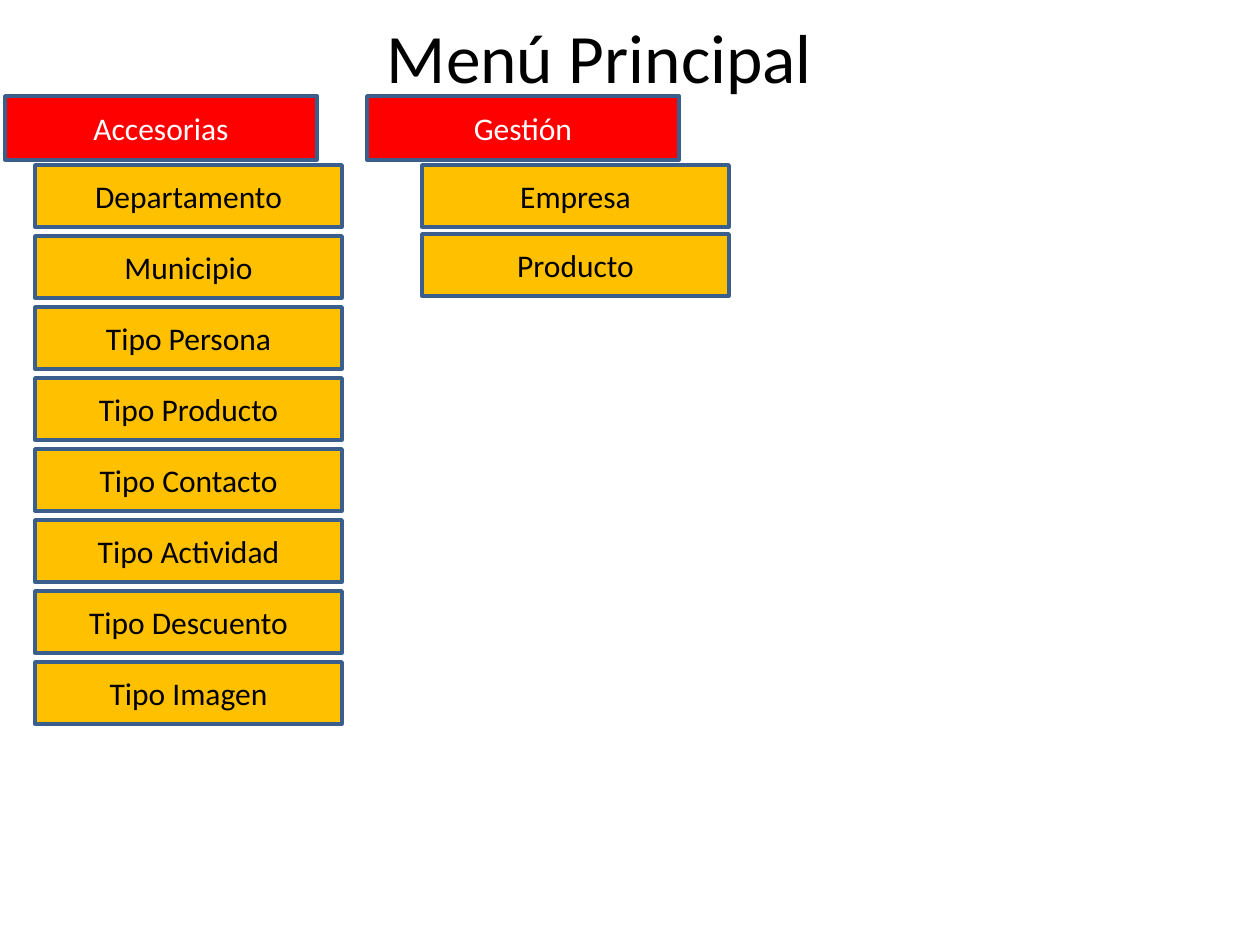
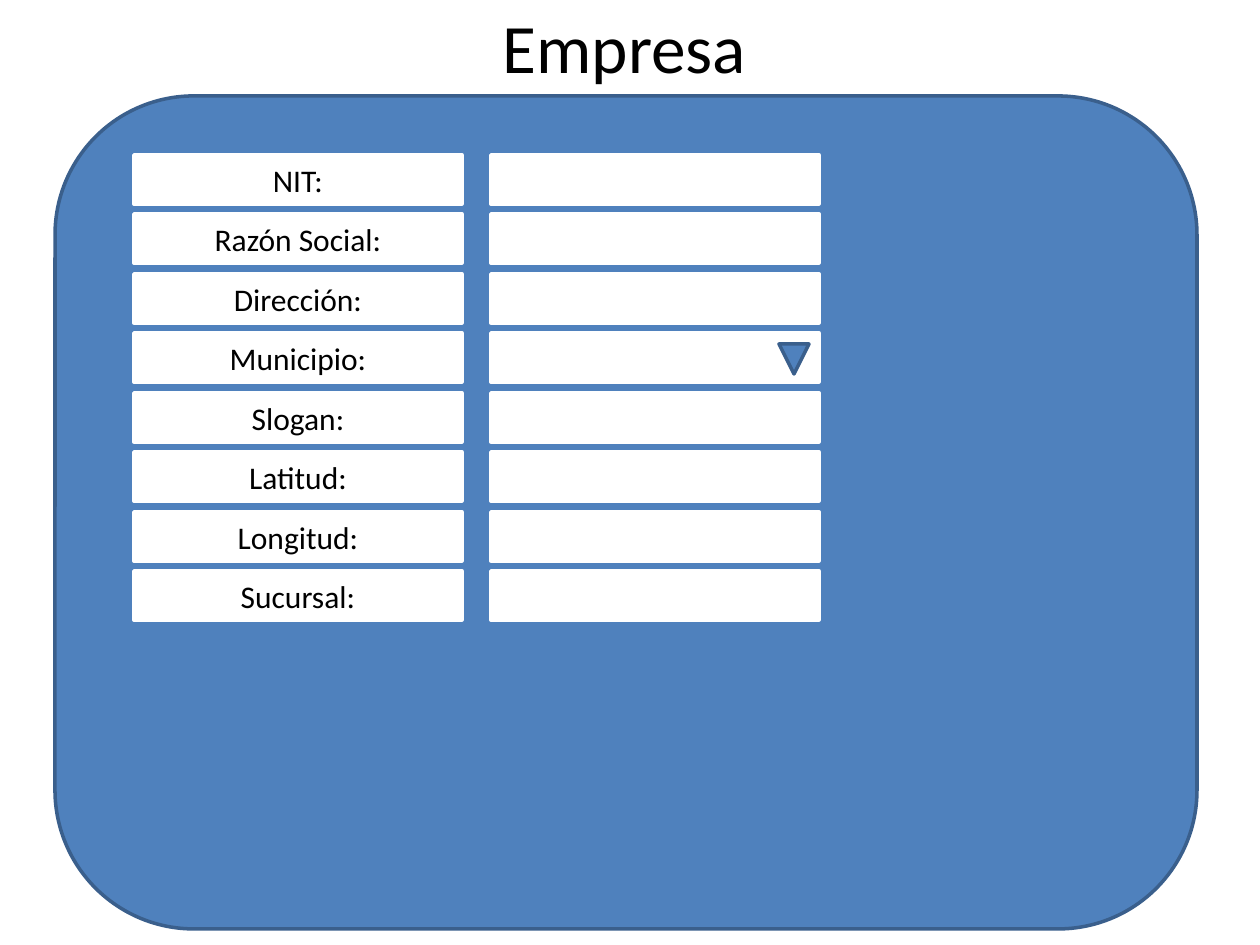
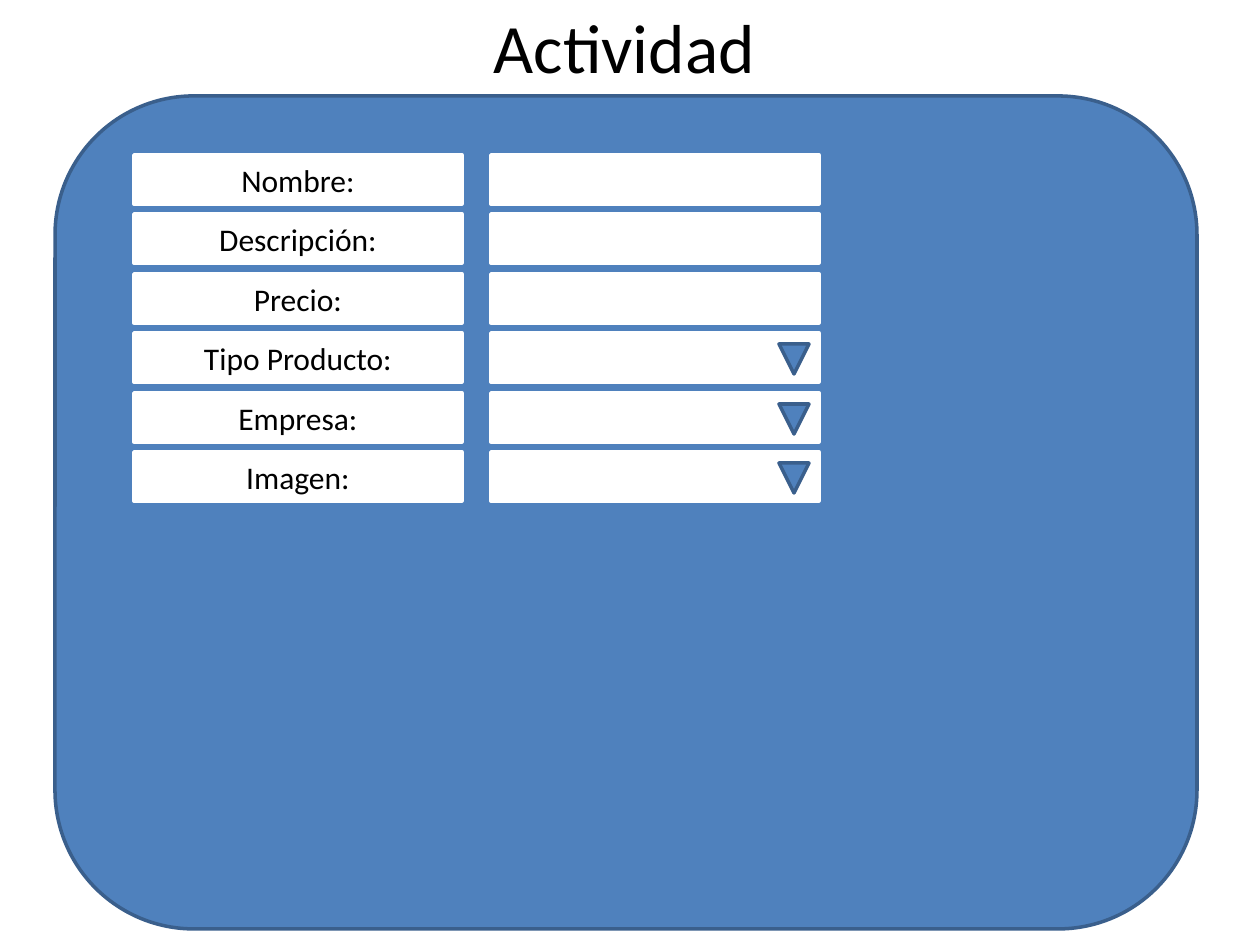
from dataclasses import dataclass
from typing import NamedTuple

from pptx import Presentation
from pptx.dml.color import RGBColor
from pptx.enum.shapes import MSO_SHAPE as Preset
from pptx.enum.text import MSO_ANCHOR as Anchor, PP_ALIGN as Align
from pptx.util import Inches, Pt

SCALE = Inches(1) / 126


class Box(NamedTuple):
    left: int
    top: int
    width: int
    height: int

    def inner(self, left, top, width, height):
        return Box(self.left + left, self.top + top, width, height)

    def emu(self):
        return [round(value * SCALE) for value in self]


@dataclass(frozen=True)
class Theme:
    font: str = "Calibri"
    title_size: float = 39.6
    body_size: int = 18
    line_width: int = 2
    black: str = "000000"
    white: str = "FFFFFF"
    red: str = "FF0000"
    amber: str = "FFC000"
    blue: str = "4F81BD"
    border: str = "3A5F8C"


THEME = Theme()


def set_values(target, values):
    for name, value in values.items():
        setattr(target, name, value)


def write_text(shape, text, size, color):
    frame = shape.text_frame
    set_values(frame, {"word_wrap": True, "vertical_anchor": Anchor.MIDDLE})
    para = frame.paragraphs[0]
    para.alignment = Align.CENTER
    span = para.add_run()
    span.text = text
    set_values(span.font, {"name": THEME.font, "size": Pt(size)})
    span.font.color.rgb = RGBColor.from_string(color)


def add_title(page, box, text):
    write_text(page.shapes.add_textbox(*box.emu()), text, THEME.title_size, THEME.black)


def add_block(page, box, fill, border, text="", color=THEME.black, preset=Preset.RECTANGLE):
    shape = page.shapes.add_shape(preset, *box.emu())
    shape.shadow.inherit = False
    shape.fill.solid()
    shape.fill.fore_color.rgb = RGBColor.from_string(fill)
    shape.line.color.rgb = RGBColor.from_string(border)
    shape.line.width = Pt(THEME.line_width)
    if text:
        write_text(shape, text, THEME.body_size, color)
    return shape


def add_menu(page, box, heading, items, indent, pitch):
    add_block(page, box, THEME.red, THEME.border, heading, THEME.white)
    for index, item in enumerate(items):
        entry = box.inner(indent, 69 + index * pitch, 307, 62)
        add_block(page, entry, THEME.amber, THEME.border, item)


def add_row(page, box, label, is_list):
    field = box.inner(357, 0, 328, 49)
    add_block(page, field, THEME.white, THEME.white)
    add_block(page, box.inner(0, 0, 328, 49), THEME.white, THEME.white, label)
    if is_list:
        arrow = add_block(page, field.inner(288, 11, 30, 30), THEME.blue, THEME.border,
                          preset=Preset.ISOSCELES_TRIANGLE)
        arrow.rotation = 180


def add_form(page, box, labels, lists):
    add_block(page, box, THEME.blue, THEME.border, preset=Preset.ROUNDED_RECTANGLE)
    for index, label in enumerate(labels):
        row = box.inner(79, 59 + index * 119 // 2, 685, 49)
        add_row(page, row, label, label in lists)


def add_page(deck, title, title_box):
    page = deck.slides.add_slide(deck.slide_layouts[6])
    add_title(page, title_box, title)
    return page


def build_menu_page(deck):
    page = add_page(deck, "Menú Principal", Box(64, 26, 1071, 59))
    accessories = ["Departamento", "Municipio", "Tipo Persona", "Tipo Producto",
                   "Tipo Contacto", "Tipo Actividad", "Tipo Descuento", "Tipo Imagen"]
    add_menu(page, Box(5, 96, 312, 64), "Accesorias", accessories, 30, 71)
    add_menu(page, Box(367, 96, 312, 64), "Gestión", ["Empresa", "Producto"], 55, 69)


def build_form_page(deck, title, labels, lists):
    page = add_page(deck, title, Box(89, 16, 1071, 59))
    add_form(page, Box(55, 96, 1142, 833), labels, lists)


deck = Presentation()
set_values(deck, {"slide_width": Inches(10), "slide_height": Inches(7.5)})
build_menu_page(deck)
build_form_page(deck, "Empresa",
                ["NIT:", "Razón Social:", "Dirección:", "Municipio:",
                 "Slogan:", "Latitud:", "Longitud:", "Sucursal:"],
                ["Municipio:"])
build_form_page(deck, "Actividad",
                ["Nombre:", "Descripción:", "Precio:", "Tipo Producto:", "Empresa:", "Imagen:"],
                ["Tipo Producto:", "Empresa:", "Imagen:"])
deck.save("out.pptx")
